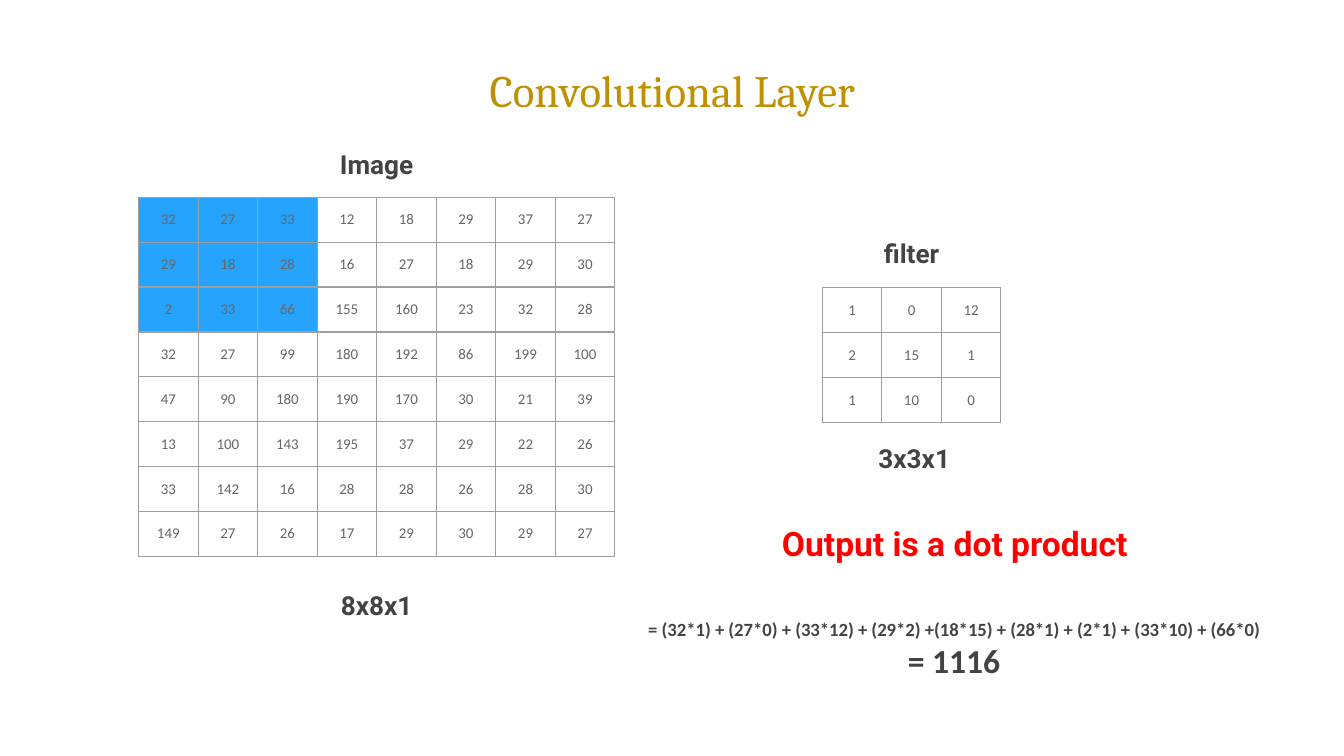
from lxml.etree import SubElement
from pptx import Presentation
from pptx.dml.color import RGBColor
from pptx.enum.text import MSO_ANCHOR, PP_ALIGN
from pptx.oxml.ns import qn
from pptx.util import Cm, Pt

GOLD = RGBColor(0xBF, 0x90, 0x00)
DARK = RGBColor(0x43, 0x43, 0x43)
GREY = RGBColor(0x66, 0x66, 0x66)
BORDER = RGBColor(0x9E, 0x9E, 0x9E)
BLUE = RGBColor(0x26, 0xA3, 0xFD)
RED = RGBColor(0xFF, 0x00, 0x00)


def write(p, text, size=14, font="Roboto", color=DARK, bold=True, spacing=None):
    p.alignment = PP_ALIGN.CENTER
    p.line_spacing = spacing
    r = p.add_run()
    r.text = text
    r.font.size = Pt(size)
    r.font.name = font
    r.font.color.rgb = color
    r.font.bold = bold


def set_frame(frame):
    frame.margin_left = frame.margin_right = Cm(0.25)
    frame.margin_top = frame.margin_bottom = Cm(0.25)
    frame.vertical_anchor = MSO_ANCHOR.MIDDLE


prs = Presentation()
prs.slide_width = Cm(25.4)
prs.slide_height = Cm(14.29)
s = prs.slides.add_slide(prs.slide_layouts[6])

image = [
    [32, 27, 33, 12, 18, 29, 37, 27],
    [29, 18, 28, 16, 27, 18, 29, 30],
    [2, 33, 66, 155, 160, 23, 32, 28],
    [32, 27, 99, 180, 192, 86, 199, 100],
    [47, 90, 180, 190, 170, 30, 21, 39],
    [13, 100, 143, 195, 37, 29, 22, 26],
    [33, 142, 16, 28, 28, 26, 28, 30],
    [149, 27, 26, 17, 29, 30, 29, 27],
]
kernel = [[1, 0, 12], [2, 15, 1], [1, 10, 0]]
col_width, row_height = 1.125, 0.71

for values, left, top, marked in [(image, 2.62, 3.73, 3), (kernel, 15.54, 5.44, 0)]:
    n = len(values)
    tbl = s.shapes.add_table(n, n, Cm(left), Cm(top), Cm(n * col_width), Cm(n * row_height)).table
    tbl.first_row = tbl.horz_banding = False
    for i, row in enumerate(values):
        for j, value in enumerate(row):
            cell = tbl.cell(i, j)
            set_frame(cell)
            write(cell.text_frame.paragraphs[0], str(value),
                  size=8, font="Calibri", color=GREY, bold=False)
            tcPr = cell._tc.get_or_add_tcPr()
            for side in ("a:lnL", "a:lnR", "a:lnT", "a:lnB"):
                ln = SubElement(tcPr, qn(side), w=str(Pt(0.75)))
                fill = SubElement(ln, qn("a:solidFill"))
                SubElement(fill, qn("a:srgbClr"), val=str(BORDER))
            if i < marked and j < marked:
                cell.fill.solid()
                cell.fill.fore_color.rgb = BLUE
            else:
                cell.fill.background()

equation = "= (32*1) + (27*0) + (33*12) + (29*2) +(18*15) + (28*1) + (2*1) + (33*10) + (66*0)"
boxes = [
    (2.62, 1.02, 20.17, 1.19, [("Convolutional Layer", dict(
        size=24, font="Cambria", color=GOLD, bold=False, spacing=1.15))]),
    (5.38, 2.62, 3.48, 0.97, [("Image", {})]),
    (15.49, 4.29, 3.48, 0.97, [("filter", {})]),
    (5.38, 10.95, 3.48, 0.97, [("8x8x1", {})]),
    (15.54, 8.18, 3.48, 0.97, [("3x3x1", {})]),
    (13.23, 9.78, 9.63, 0.97, [("Output is a dot product", dict(size=18, color=RED))]),
    (11.91, 10.77, 12.24, 2.57, [
        (equation, dict(size=10, font="Calibri", spacing=2.0)),
        ("= 1116", dict(size=18, font="Calibri")),
    ]),
]
for left, top, width, height, lines in boxes:
    sp = s.shapes.add_textbox(Cm(left), Cm(top), Cm(width), Cm(height))
    tf = sp.text_frame
    tf.word_wrap = True
    set_frame(tf)
    for k, (text, style) in enumerate(lines):
        p = tf.add_paragraph() if k else tf.paragraphs[0]
        write(p, text, **style)

prs.save("out.pptx")
